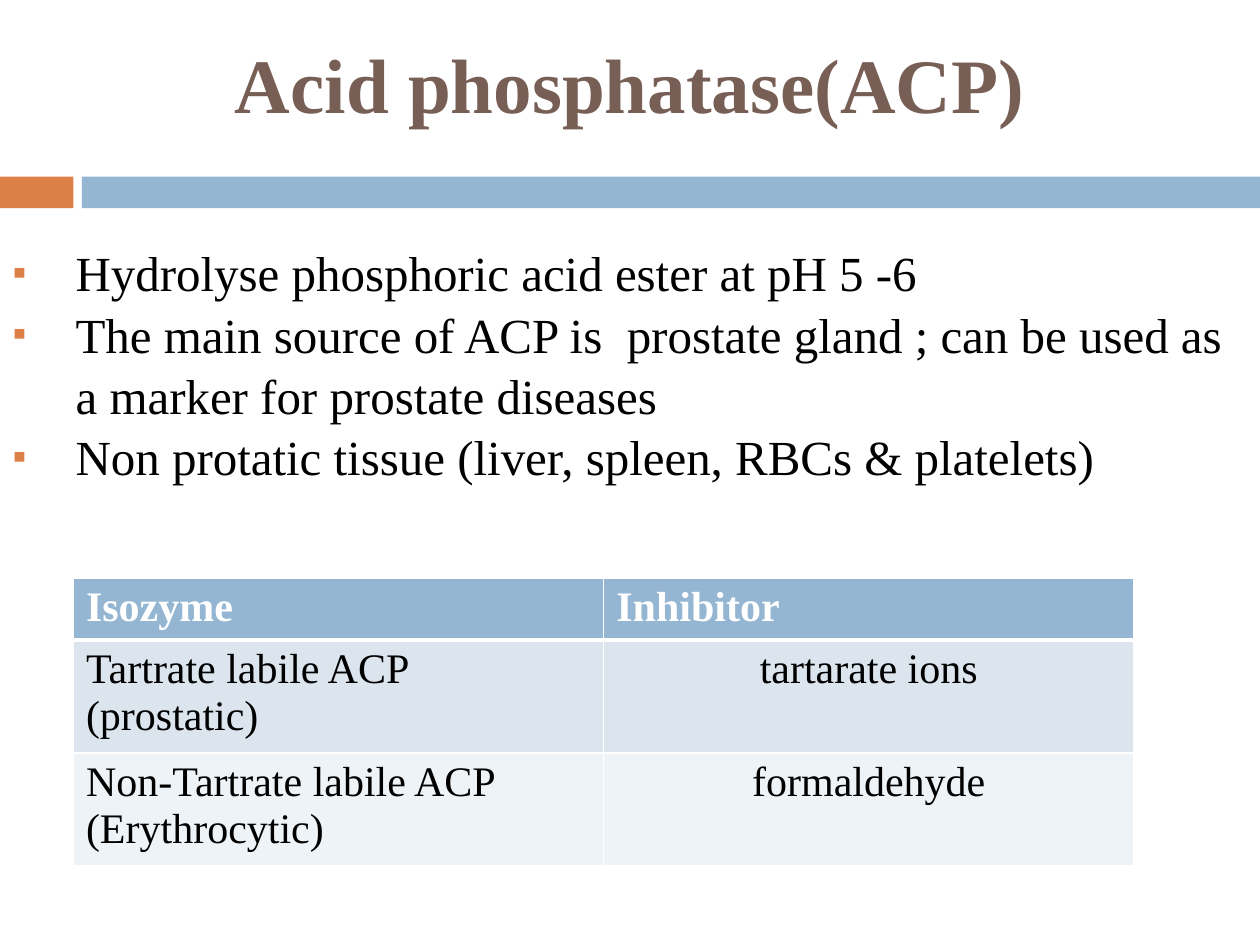
from lxml.etree import SubElement
from pptx import Presentation
from pptx.dml.color import RGBColor
from pptx.enum.shapes import MSO_SHAPE as Preset
from pptx.enum.text import MSO_ANCHOR as Anchor, MSO_AUTO_SIZE as AutoSize, PP_ALIGN as Align
from pptx.oxml.ns import qn
from pptx.util import Cm, Pt

COLORS = {
    "title": "775F55", "text": "000000", "white": "FFFFFF", "accent": "DD8047",
    "band": "94B6D2", "row odd": "DCE5EE", "row even": "EEF3F7",
}
FONT = "Times New Roman"
SLIDE_WIDTH, SLIDE_HEIGHT = 25.4, 19.05

TITLE = "Acid phosphatase(ACP)"
BULLETS = [
    "Hydrolyse phosphoric acid ester at pH 5 -6",
    "The main source of ACP is  prostate gland ; can be used as a marker for prostate diseases",
    "Non protatic tissue (liver, spleen, RBCs & platelets)",
]
ISOZYMES = [
    ("Isozyme", "Inhibitor"),
    ("Tartrate labile ACP (prostatic)", "tartarate ions"),
    ("Non-Tartrate labile ACP (Erythrocytic)", "formaldehyde"),
]
ROW_FILLS = ["band", "row odd", "row even"]
ROW_HEIGHTS = [1.25, 2.28, 2.28]
COLUMN_WIDTH = 10.69

# left, top, width, height in centimetres
TITLE_BOX = (0, 0.46, SLIDE_WIDTH, 2.41)
BODY_BOX = (0, 4.65, SLIDE_WIDTH, 6.25)
BAND_START = 1.65
BANDS = [
    ("accent", (0, 3.56, 1.48, 0.64)),
    ("band", (BAND_START, 3.56, SLIDE_WIDTH - BAND_START, 0.64)),
]
TABLE_BOX = (1.48, 11.65, 2 * COLUMN_WIDTH, sum(ROW_HEIGHTS))


def rgb(name):
    return RGBColor.from_string(COLORS[name])


def lengths(box):
    return [Cm(value) for value in box]


def set_attributes(target, values):
    for name, value in values.items():
        setattr(target, name, value)


def format_font(paragraph, size, color, bold=False):
    set_attributes(paragraph.font, {"name": FONT, "size": Pt(size), "bold": bold})
    paragraph.font.color.rgb = rgb(color)


def place(shape, box, **frame_format):
    set_attributes(shape, dict(zip(("left", "top", "width", "height"), lengths(box))))
    set_attributes(shape.text_frame, {"auto_size": AutoSize.NONE, "word_wrap": True, **frame_format})


def add_bullet(paragraph):
    properties = paragraph._p.get_or_add_pPr()
    properties.set("marL", str(Cm(1.27)))
    properties.set("indent", str(-Cm(1.27)))
    color = SubElement(properties, qn("a:buClr"))
    SubElement(color, qn("a:srgbClr"), val=COLORS["accent"])
    SubElement(properties, qn("a:buSzPct"), val="80000")
    SubElement(properties, qn("a:buFont"), typeface=FONT)
    SubElement(properties, qn("a:buChar"), char="▪")


def add_borders(cell, widths):
    """Draw white borders; widths maps the sides L, R, T and B to points."""
    for side, width in widths.items():
        line = SubElement(cell._tc.get_or_add_tcPr(), qn(f"a:ln{side}"), w=str(Pt(width)))
        fill = SubElement(line, qn("a:solidFill"))
        SubElement(fill, qn("a:srgbClr"), val=COLORS["white"])


def add_bands(slide):
    for color, box in BANDS:
        band = slide.shapes.add_shape(Preset.RECTANGLE, *lengths(box))
        band.shadow.inherit = False
        band.fill.solid()
        band.fill.fore_color.rgb = rgb(color)
        band.line.fill.background()


def fill_title(title):
    place(title, TITLE_BOX, vertical_anchor=Anchor.MIDDLE)
    title.text_frame.text = TITLE
    paragraph = title.text_frame.paragraphs[0]
    paragraph.alignment = Align.CENTER
    format_font(paragraph, 44, "title", bold=True)


def fill_body(body):
    place(body, BODY_BOX, vertical_anchor=Anchor.TOP, margin_top=Cm(0.2))
    body.text_frame.text = "\n".join(BULLETS)
    for paragraph in body.text_frame.paragraphs:
        set_attributes(paragraph, {"space_before": Pt(0), "line_spacing": 1.04, "alignment": Align.LEFT})
        add_bullet(paragraph)
        format_font(paragraph, 28, "text")


def add_isozyme_table(slide):
    table = slide.shapes.add_table(len(ISOZYMES), 2, *lengths(TABLE_BOX)).table
    for column in table.columns:
        column.width = Cm(COLUMN_WIDTH)
    for row_index, texts in enumerate(ISOZYMES):
        table.rows[row_index].height = Cm(ROW_HEIGHTS[row_index])
        header = row_index == 0
        borders = {"L": 1, "R": 1, "T": 3 if row_index == 1 else 1, "B": 3 if header else 1}
        for column_index, text in enumerate(texts):
            cell = table.cell(row_index, column_index)
            add_borders(cell, borders)
            cell.fill.solid()
            cell.fill.fore_color.rgb = rgb(ROW_FILLS[row_index])
            cell.text = text
            paragraph = cell.text_frame.paragraphs[0]
            paragraph.alignment = Align.CENTER if column_index and not header else Align.LEFT
            format_font(paragraph, 24, "white" if header else "text", bold=header)


def main():
    presentation = Presentation()
    presentation.slide_width, presentation.slide_height = Cm(SLIDE_WIDTH), Cm(SLIDE_HEIGHT)
    slide = presentation.slides.add_slide(presentation.slide_layouts[1])
    add_bands(slide)
    fill_title(slide.shapes.title)
    fill_body(slide.placeholders[1])
    add_isozyme_table(slide)
    presentation.save("out.pptx")


if __name__ == "__main__":
    main()
